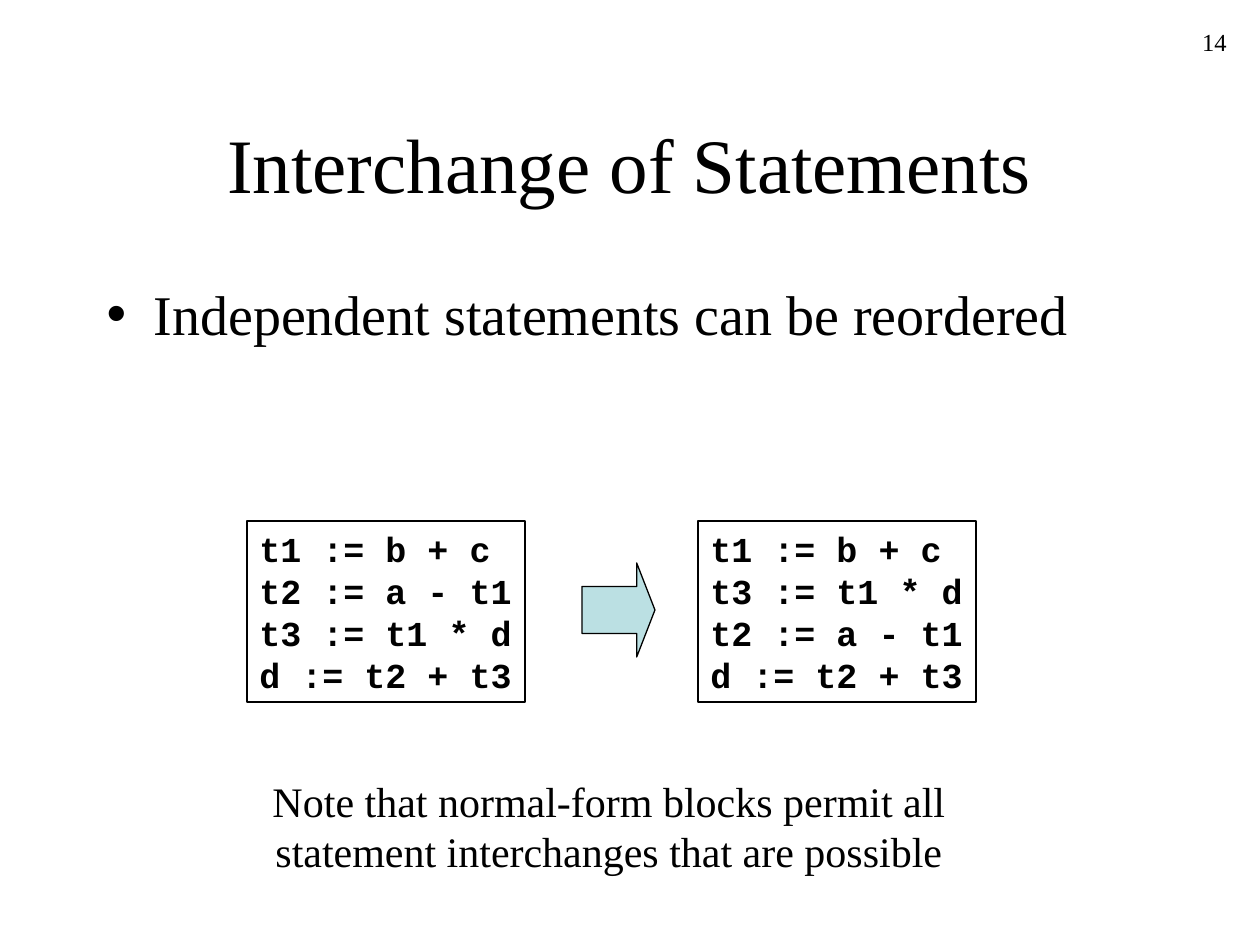
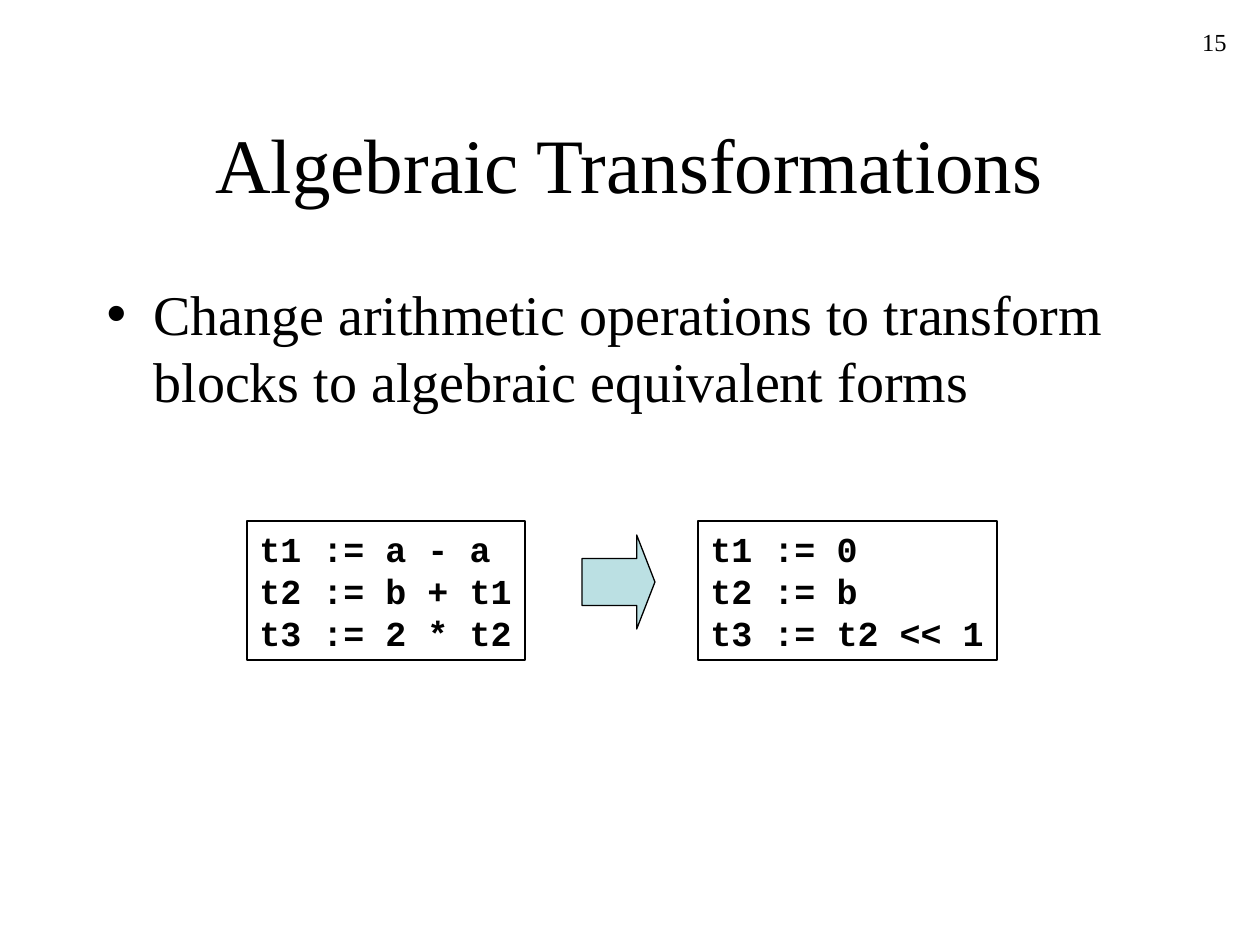
from dataclasses import dataclass

from lxml import etree
from pptx import Presentation
from pptx.dml.color import RGBColor
from pptx.enum.shapes import MSO_SHAPE
from pptx.enum.text import MSO_ANCHOR, MSO_AUTO_SIZE, PP_ALIGN
from pptx.oxml.ns import qn
from pptx.util import Emu, Pt

ARROW = MSO_SHAPE.RIGHT_ARROW
LEFT, CENTER, RIGHT = PP_ALIGN.LEFT, PP_ALIGN.CENTER, PP_ALIGN.RIGHT
TOP, MIDDLE = MSO_ANCHOR.TOP, MSO_ANCHOR.MIDDLE
FIXED, GROW = MSO_AUTO_SIZE.NONE, MSO_AUTO_SIZE.SHAPE_TO_FIT_TEXT

# Content
SLIDES = [
    {
        "number": "14",
        "title": "Interchange of Statements",
        "bullet": "Independent statements can be reordered",
        "before": ["t1 := b + c", "t2 := a - t1", "t3 := t1 * d", "d := t2 + t3"],
        "after": ["t1 := b + c", "t3 := t1 * d", "t2 := a - t1", "d := t2 + t3"],
        "arrow_top": 563,
        "note": ["Note that normal-form blocks permit all",
                 "statement interchanges that are possible"],
    },
    {
        "number": "15",
        "title": "Algebraic Transformations",
        "bullet": "Change arithmetic operations to transform "
                  "blocks to algebraic equivalent forms",
        "before": ["t1 := a - a", "t2 := b + t1", "t3 := 2 * t2"],
        "after": ["t1 := 0", "t2 := b", "t3 := t2 << 1"],
        "arrow_top": 535,
        "note": [],
    },
]


# Theme
@dataclass(frozen=True)
class Theme:
    ink: RGBColor = RGBColor(0x00, 0x00, 0x00)
    arrow: RGBColor = RGBColor(0xBB, 0xE0, 0xE3)
    serif: str = "Times New Roman"
    mono: str = "Courier New"
    title: int = 44
    body: int = 32
    note: int = 24
    code: int = 20
    number: int = 14
    line: float = 0.75


THEME = Theme()

# Layout in px
PX_PER_INCH = 126
PAGE = (1260, 945)
TITLE_BOX = (94, 84, 1071, 158)
BODY_BOX = (94, 273, 1071, 567)
NUMBER_BOX = (977, 21, 262, 63)
NOTE_BOX = (260, 769, 698, 113)
CODE_TOP, BEFORE_LEFT, AFTER_LEFT = 521, 247, 698
CHAR_W, LINE_H = 21, 42
PAD_X, PAD_Y = 26, 13
ARROW_LEFT, ARROW_SIZE = 582, (73, 94)
BULLET_INDENT = 47


def px(n):
    return Emu(round(n * 914400 / PX_PER_INCH))


def place(sp, box):
    sp.left, sp.top, sp.width, sp.height = map(px, box)


def write(sp, lines, size, font=THEME.serif, bold=False, align=LEFT,
          anchor=TOP, wrap=True):
    """Fill one paragraph, with a line break between the lines."""
    tf = sp.text_frame
    tf.word_wrap = wrap
    tf.auto_size = FIXED if wrap else GROW
    tf.vertical_anchor = anchor
    p = tf.paragraphs[0]
    p.alignment = align
    for i, line in enumerate(lines):
        if i:
            p.add_line_break()
        r = p.add_run()
        r.text = line
        r.font.name, r.font.size, r.font.bold = font, Pt(size), bold
        r.font.color.rgb = THEME.ink
    return p


def add_bullet(p):
    p.space_before = Pt(8)
    pPr = p._p.get_or_add_pPr()
    pPr.set("marL", str(px(BULLET_INDENT)))
    pPr.set("indent", str(px(-BULLET_INDENT)))
    etree.SubElement(pPr, qn("a:buChar")).set("char", "•")


def outline(sp):
    sp.line.color.rgb, sp.line.width = THEME.ink, Pt(THEME.line)


def add_text(s, box, lines, size, **style):
    sp = s.shapes.add_textbox(*map(px, box))
    write(sp, lines, size, **style)
    return sp


def add_code(s, left, lines):
    width = max(map(len, lines)) * CHAR_W + PAD_X
    height = len(lines) * LINE_H + PAD_Y
    outline(add_text(s, (left, CODE_TOP, width, height), lines, THEME.code,
                     font=THEME.mono, bold=True, wrap=False))


def add_arrow(s, top):
    sp = s.shapes.add_shape(ARROW, *map(px, (ARROW_LEFT, top, *ARROW_SIZE)))
    sp.shadow.inherit = False
    sp.fill.solid()
    sp.fill.fore_color.rgb = THEME.arrow
    outline(sp)
    sp.adjustments[0], sp.adjustments[1] = 0.5, 0.25


def add_slide(prs, item):
    s = prs.slides.add_slide(prs.slide_layouts[1])

    # Title and bullet
    title, body = s.placeholders
    place(title, TITLE_BOX)
    write(title, [item["title"]], THEME.title, align=CENTER, anchor=MIDDLE)
    place(body, BODY_BOX)
    add_bullet(write(body, [item["bullet"]], THEME.body))

    # Code before and after, with the arrow between
    add_code(s, BEFORE_LEFT, item["before"])
    add_code(s, AFTER_LEFT, item["after"])
    add_arrow(s, item["arrow_top"])

    # Note and slide number
    if item["note"]:
        add_text(s, NOTE_BOX, item["note"], THEME.note, align=CENTER, wrap=False)
    add_text(s, NUMBER_BOX, [item["number"]], THEME.number, align=RIGHT)


def main():
    prs = Presentation()
    prs.slide_width, prs.slide_height = map(px, PAGE)
    for item in SLIDES:
        add_slide(prs, item)
    prs.save("out.pptx")


if __name__ == "__main__":
    main()
